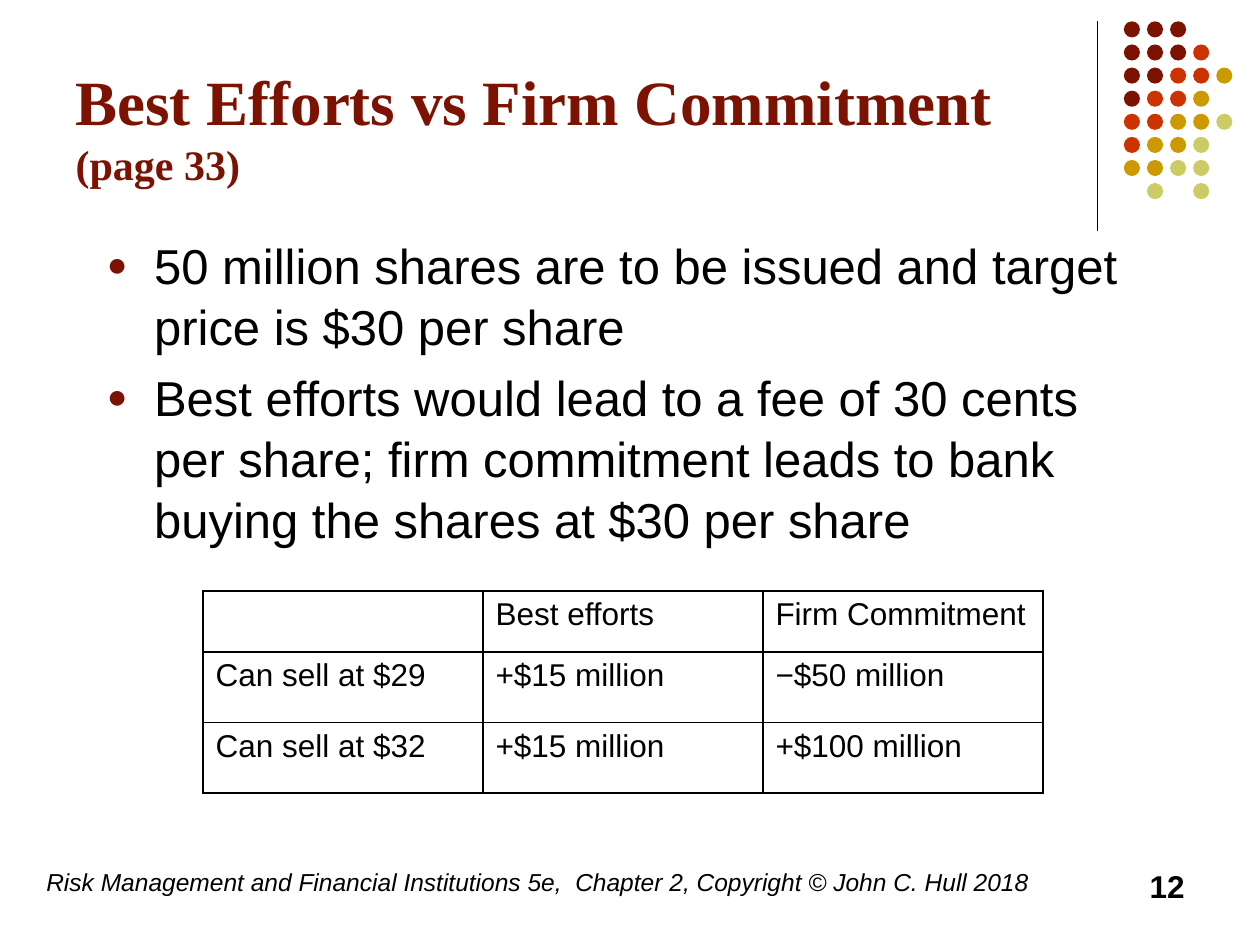
"""Build the slide comparing best efforts with firm commitment."""
from dataclasses import dataclass

from lxml.etree import SubElement as Sub
from pptx import Presentation
from pptx.dml.color import RGBColor as Rgb
from pptx.enum.shapes import MSO_CONNECTOR as Link, MSO_SHAPE as Form
from pptx.enum.text import MSO_ANCHOR as Anchor, MSO_AUTO_SIZE as Fit, PP_ALIGN as Align
from pptx.oxml.ns import qn
from pptx.util import Pt


@dataclass(frozen=True)
class Theme:
    ink: str = "000000"
    wine: str = "7C1302"
    red: str = "CC3300"
    gold: str = "CC9900"
    lime: str = "CCCC66"
    head: str = "Times New Roman"
    sans: str = "Arial"
    title: int = 36
    page: int = 24
    body: int = 28
    cell: int = 18
    foot: int = 14


class Deck:
    def __init__(self, theme):
        self.theme = theme
        self.show = Presentation()
        self.show.slide_width, self.show.slide_height = Pt(720), Pt(540)
        self.slide = self.show.slides.add_slide(self.show.slide_layouts[5])

    def run(self, para, text, size, face=None, color=None, bold=False, slant=False):
        run = para.add_run()
        run.text = text
        font = run.font
        font.name, font.size = face or self.theme.sans, Pt(size)
        font.bold, font.italic = bold, slant
        font.color.rgb = Rgb.from_string(color or self.theme.ink)

    def title(self, box, parts):
        shape = self.slide.shapes.title
        shape.left, shape.top, shape.width, shape.height = map(Pt, box)
        frame = shape.text_frame
        frame.word_wrap, frame.auto_size = True, Fit.NONE
        frame.vertical_anchor = Anchor.BOTTOM
        para = frame.paragraphs[0]
        para.alignment = Align.LEFT
        for text, size in parts:
            self.run(para, text, size, self.theme.head, self.theme.wine, bold=True)

    def frame(self, box):
        frame = self.slide.shapes.add_textbox(*map(Pt, box)).text_frame
        frame.word_wrap = True
        return frame

    def note(self, box, text, size, align=Align.LEFT, **style):
        para = self.frame(box).paragraphs[0]
        para.alignment = align
        self.run(para, text, size, **style)

    def list(self, box, items):
        frame = self.frame(box)
        for i, text in enumerate(items):
            para = frame.add_paragraph() if i else frame.paragraphs[0]
            para.line_spacing, para.space_before = 1.04, Pt(5.6)
            self.bullet(para)
            self.run(para, text, self.theme.body)

    def bullet(self, para):
        props = para._p.get_or_add_pPr()
        props.set("marL", str(Pt(27)))
        props.set("indent", str(Pt(-27)))
        tint = Sub(props, qn("a:buClr"))
        Sub(tint, qn("a:srgbClr"), val=self.theme.wine)
        Sub(props, qn("a:buSzPct"), val="70000")
        Sub(props, qn("a:buFont"), typeface=self.theme.sans)
        Sub(props, qn("a:buChar"), char="●")

    def line(self, x1, y1, x2, y2, width):
        line = self.slide.shapes.add_connector(Link.STRAIGHT, *map(Pt, (x1, y1, x2, y2)))
        line.line.width = Pt(width)
        line.line.color.rgb = Rgb.from_string(self.theme.ink)
        Sub(line._element.spPr, qn("a:effectLst"))

    def dot(self, x, y, size, color):
        dot = self.slide.shapes.add_shape(Form.OVAL, Pt(x), Pt(y), Pt(size), Pt(size))
        dot.shadow.inherit = False
        dot.fill.solid()
        dot.fill.fore_color.rgb = Rgb.from_string(color)
        dot.line.fill.background()

    def table(self, x, y, wide, highs, rows):
        count = len(rows[0])
        table = self.slide.shapes.add_table(
            len(rows), count, Pt(x), Pt(y), Pt(wide * count), Pt(sum(highs))).table
        table.first_row = table.horz_banding = False
        for col in table.columns:
            col.width = Pt(wide)
        for row, high, texts in zip(table.rows, highs, rows):
            row.height = Pt(high)
            for cell, text in zip(row.cells, texts):
                self.edge(cell)
                cell.fill.background()
                if text:
                    self.run(cell.text_frame.paragraphs[0], text, self.theme.cell)

    def edge(self, cell):
        props = cell._tc.get_or_add_tcPr()
        for side in "LRTB":
            line = Sub(props, qn("a:ln" + side), w=str(Pt(1)))
            fill = Sub(line, qn("a:solidFill"))
            Sub(fill, qn("a:srgbClr"), val=self.theme.ink)


def main():
    theme = Theme()
    deck = Deck(theme)
    deck.line(627, 12, 627, 132, 0.75)
    tints = {"w": theme.wine, "r": theme.red, "g": theme.gold, "l": theme.lime}
    dots = ("www", "wwwr", "wwrrg", "wrrg", "rrggl", "rggl", "ggll", " l l")
    for j, row in enumerate(dots):
        for i, key in enumerate(row):
            if key in tints:
                deck.dot(642.2 + 13.2 * i, 12.2 + 13.2 * j, 9.2, tints[key])
    deck.title((36, 9.4, 594, 102.2), (
        ("Best Efforts vs Firm Commitment ", theme.title), ("(page 33)", theme.page)))
    deck.list((54, 129.6, 612, 363.6), (
        "50 million shares are to be issued and target price is $30 per share",
        "Best efforts would lead to a fee of 30 cents per share; "
        "firm commitment leads to bank buying the shares at $30 per share"))
    deck.note((19.4, 492, 595.4, 36),
              "Risk Management and Financial Institutions 5e,  Chapter 2, "
              "Copyright © John C. Hull 2018", theme.foot, slant=True)
    deck.note((516, 492, 168, 36), "12", theme.cell, Align.RIGHT, bold=True)
    deck.table(116, 337.7, 160, (34.8, 40.4, 40.4), (
        ("", "Best efforts", "Firm Commitment"),
        ("Can sell at $29", "+$15 million", "−$50 million"),
        ("Can sell at $32", "+$15 million", "+$100 million")))
    deck.show.save("out.pptx")


main()
